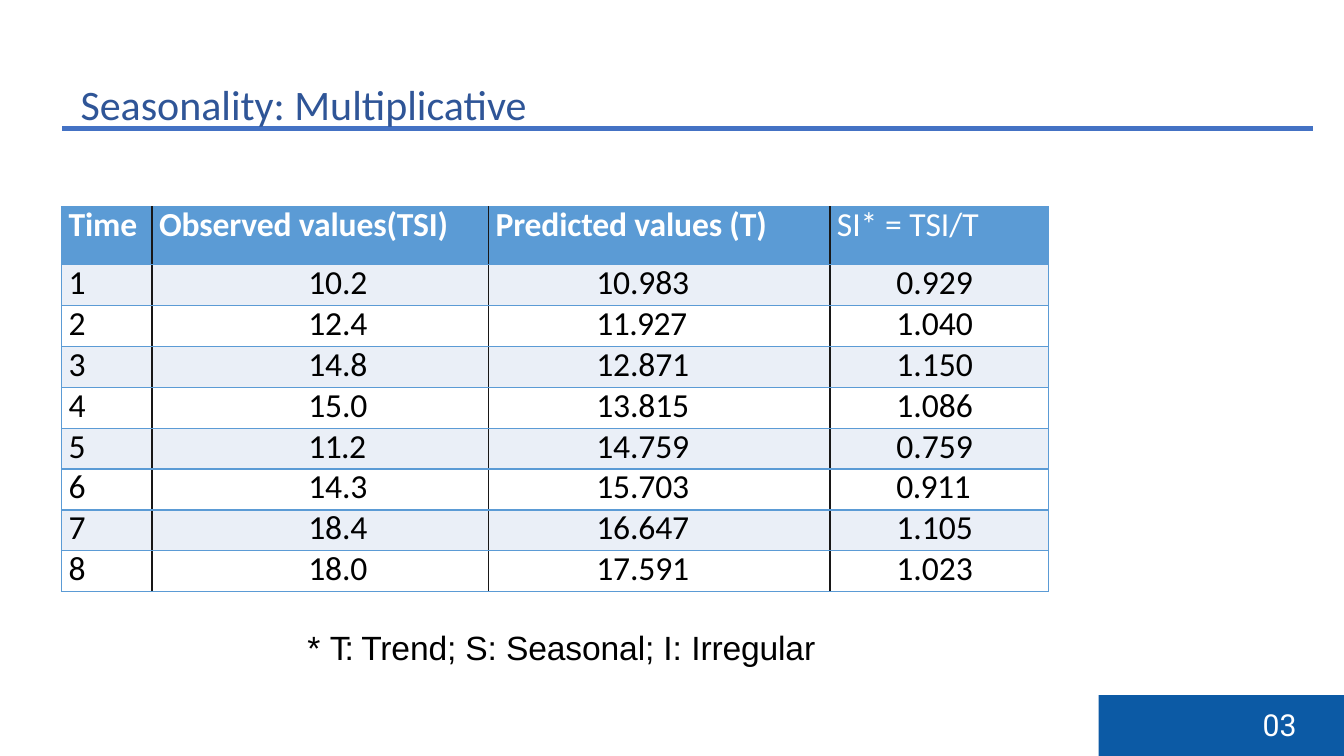
from lxml import etree
from pptx import Presentation
from pptx.dml.color import RGBColor
from pptx.enum.shapes import MSO_SHAPE
from pptx.enum.text import MSO_AUTO_SIZE
from pptx.oxml.ns import qn
from pptx.util import Cm, Pt

RECTANGLE = MSO_SHAPE.RECTANGLE
FIT_SHAPE = MSO_AUTO_SIZE.SHAPE_TO_FIT_TEXT

COLORS = {
    "white": "FFFFFF",
    "black": "000000",
    "footer": "0C5AA5",
    "rule": "4472C4",
    "title": "2F5597",
    "header": "5B9BD5",
    "band": "EAEFF7",
    "divider": "181717",
}

HEADERS = ["Time", "Observed values(TSI)", "Predicted values (T)", "SI* = TSI/T"]
SEASONAL_ROWS = [
    ("1", "10.2", "10.983", "0.929"),
    ("2", "12.4", "11.927", "1.040"),
    ("3", "14.8", "12.871", "1.150"),
    ("4", "15.0", "13.815", "1.086"),
    ("5", "11.2", "14.759", "0.759"),
    ("6", "14.3", "15.703", "0.911"),
    ("7", "18.4", "16.647", "1.105"),
    ("8", "18.0", "17.591", "1.023"),
]
COLUMN_WIDTHS = [2.28, 8.48, 8.6, 5.51]
VALUE_INDENTS = [0.18, 3.94, 2.72, 1.68]
HEADER_INDENT = 0.18
HEADER_HEIGHT, ROW_HEIGHT = 1.46, 1.03


def color(name):
    return RGBColor.from_string(COLORS[name])


def add_span(para, text, size=24, font="Calibri", ink="black", bold=False, spacing=0):
    """Append formatted text; letter spacing is in points."""
    span = para.add_run()
    span.text = text
    span.font.size = Pt(size)
    span.font.name = font
    span.font.bold = bold
    span.font.color.rgb = color(ink)
    if spacing:
        span.font._element.set("spc", str(round(spacing * 100)))


class SlideBuilder:
    def __init__(self, deck):
        self.page = deck.slides.add_slide(deck.slide_layouts[6])

    def bar(self, left, top, width, height, fill, outline=None):
        box = self.page.shapes.add_shape(
            RECTANGLE, Cm(left), Cm(top), Cm(width), Cm(height))
        box.shadow.inherit = False
        box.fill.solid()
        box.fill.fore_color.rgb = color(fill)
        if outline:
            box.line.color.rgb = color(outline)
            box.line.width = Pt(1)
        else:
            box.line.fill.background()

    def text(self, left, top, width, height, spans, inset=True, **style):
        """Add a one-paragraph text box from (text, spacing) pairs."""
        box = self.page.shapes.add_textbox(Cm(left), Cm(top), Cm(width), Cm(height))
        frame = box.text_frame
        frame.word_wrap = True
        frame.auto_size = FIT_SHAPE
        if not inset:
            frame.margin_left = frame.margin_right = 0
            frame.margin_top = frame.margin_bottom = 0
        for text, spacing in spans:
            add_span(frame.paragraphs[0], text, spacing=spacing, **style)

    def border(self, cell, side, ink, width):
        line = etree.SubElement(
            cell._tc.get_or_add_tcPr(), qn(f"a:ln{side}"), w=str(Pt(width)))
        fill = etree.SubElement(line, qn("a:solidFill"))
        etree.SubElement(fill, qn("a:srgbClr"), val=COLORS[ink])

    def cell(self, cell, text, indent, fill, edges, **style):
        # Borders come before the fill in the cell properties
        for side in "LRTB":
            if side in edges or side in "TB":
                self.border(cell, side, "header", 1)
            else:
                self.border(cell, side, "divider", 1.5)
        cell.fill.solid()
        cell.fill.fore_color.rgb = color(fill)
        cell.margin_left = Cm(indent)
        cell.margin_right = cell.margin_top = cell.margin_bottom = 0
        para = cell.text_frame.paragraphs[0]
        para.line_spacing = Pt(27.8)
        add_span(para, text, **style)

    def table(self, left, top, headers, rows):
        height = HEADER_HEIGHT + ROW_HEIGHT * len(rows)
        table = self.page.shapes.add_table(
            len(rows) + 1, len(headers), Cm(left), Cm(top),
            Cm(sum(COLUMN_WIDTHS)), Cm(height)).table
        table.first_row = table.horz_banding = False
        for column, width in zip(table.columns, COLUMN_WIDTHS):
            column.width = Cm(width)
        last = len(headers) - 1
        for r, values in enumerate([headers, *rows]):
            table.rows[r].height = Cm(ROW_HEIGHT if r else HEADER_HEIGHT)
            for c, value in enumerate(values):
                edges = {0: "L", last: "R"}.get(c, "")
                if r == 0:
                    self.cell(table.cell(r, c), value, HEADER_INDENT, "header", edges,
                              ink="white", bold=c < last,
                              spacing=-0.1 if c < last else 0)
                else:
                    # Paired ones are set tighter
                    spacing = -0.4 if "11" in value else -0.1 if c in (1, 2) else 0
                    self.cell(table.cell(r, c), value, VALUE_INDENTS[c],
                              "band" if r % 2 else "white", edges, spacing=spacing)


def main():
    deck = Presentation()
    deck.slide_width, deck.slide_height = Cm(33.87), Cm(19.05)
    slide = SlideBuilder(deck)

    # Footer with page number
    slide.bar(27.69, 17.52, 6.18, 1.53, "footer")
    slide.text(31.57, 17.68, 1.37, 1.17, [("03", 0)],
               size=21.6, font="Roboto", ink="white")

    # Rule under the title, and the blank block above the footer
    slide.bar(1.55, 3.15, 31.55, 0.18, "rule", outline="white")
    slide.bar(31.6, 15.9, 2.27, 1.24, "white")

    # Seasonal index table
    slide.table(1.55, 5.21, HEADERS, SEASONAL_ROWS)

    # Title and footnote
    slide.text(1.78, 1.85, 20.04, 1.55, [("Seasonality: Multiplicative", 0)],
               size=30, ink="title")
    slide.text(7.75, 15.8, 13.03, 1.04,
               [("* ", -0.1), ("T: ", -1.4), ("Trend; S: Seasonal; ", -0.1),
                ("I: ", 0), ("Irregular", -0.1)],
               inset=False, font="Arial")

    deck.save("out.pptx")


if __name__ == "__main__":
    main()
